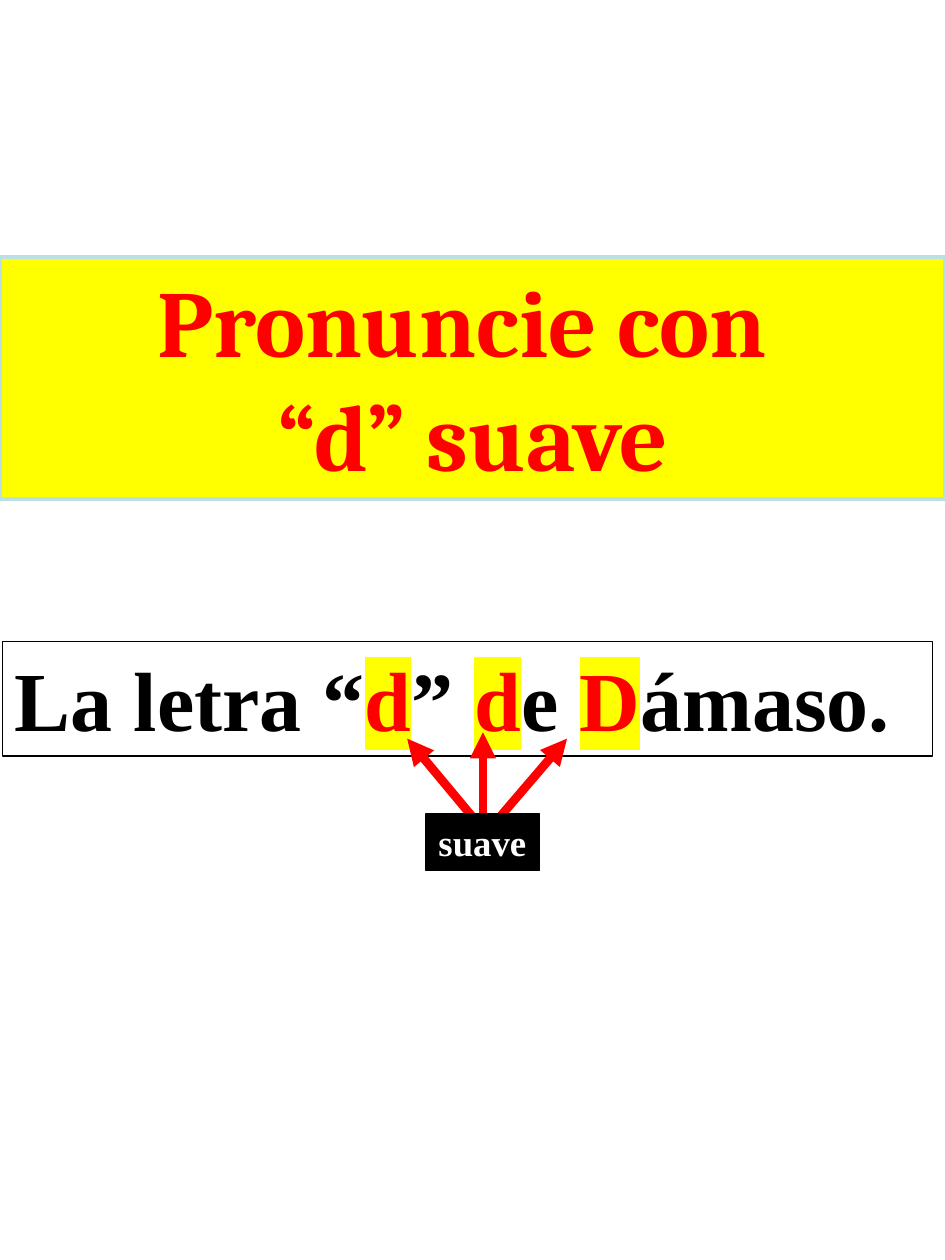
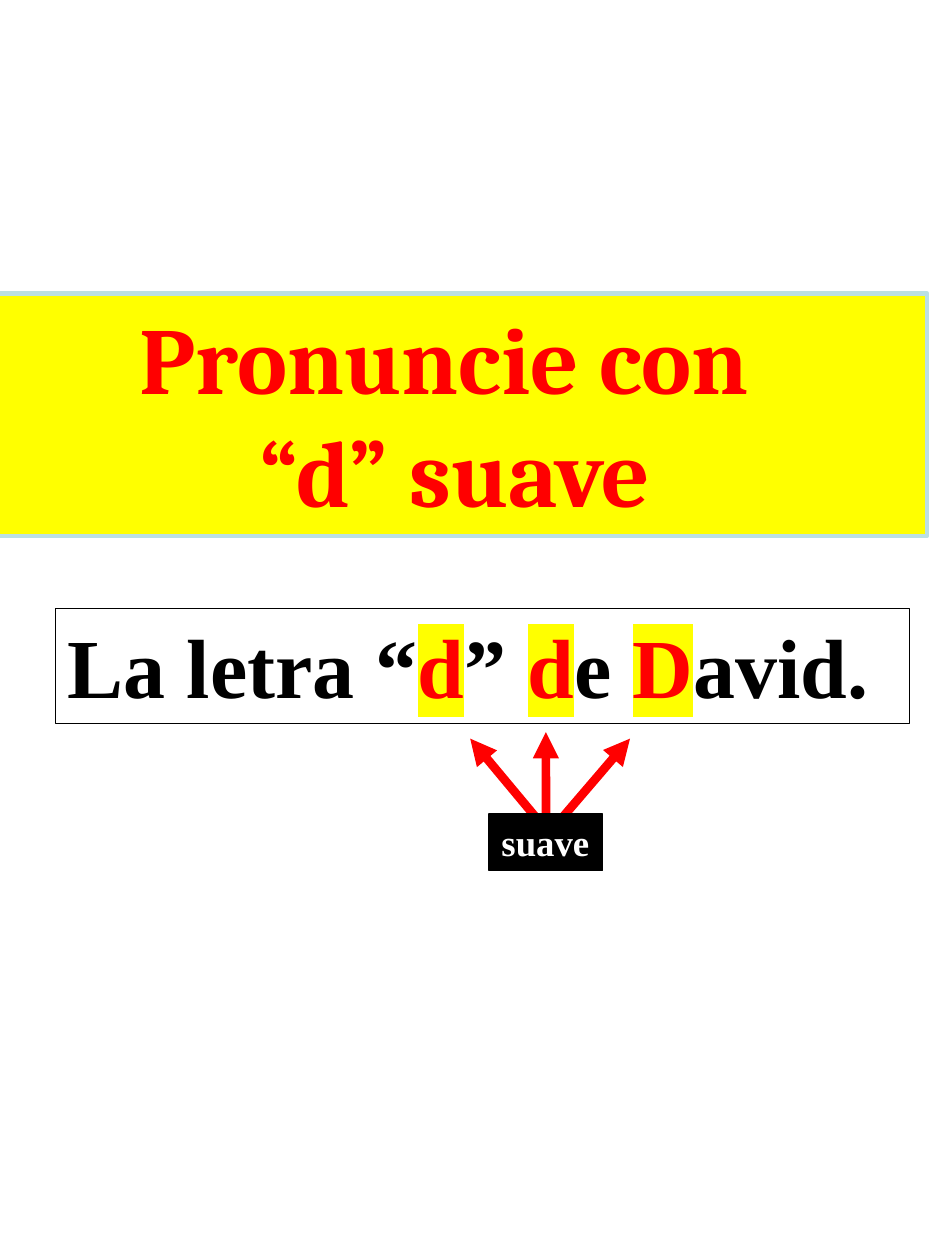
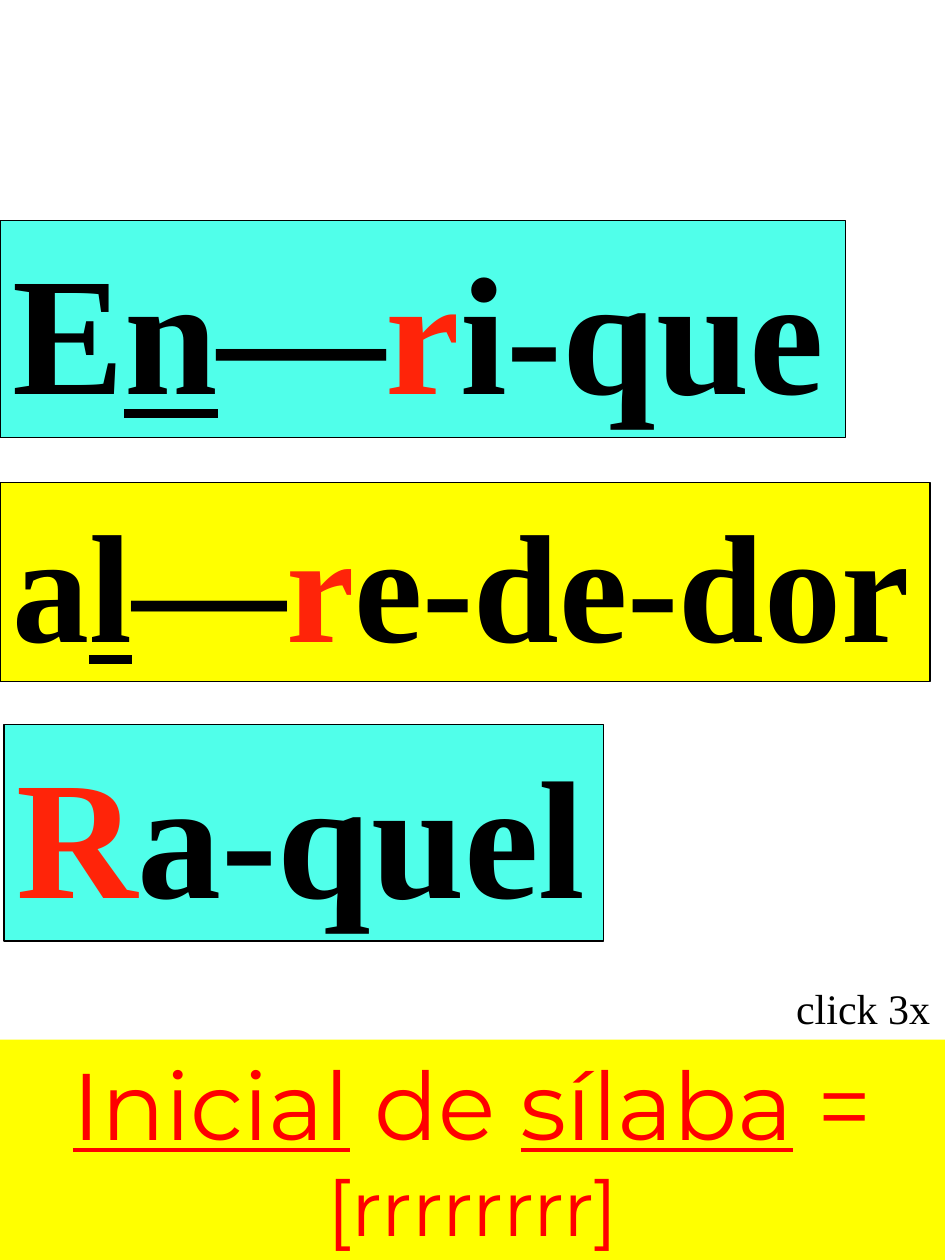
import pptx
import pptx.util
import pptx.dml.color
import pptx.enum.shapes
import pptx.enum.text
import pptx.oxml.ns
from lxml import etree

Cm, Pt = pptx.util.Cm, pptx.util.Pt
ALIGN = pptx.enum.text.PP_ALIGN

COLORS = {
    "red": "FF0000",
    "accent": "FF2409",
    "yellow": "FFFF00",
    "aqua": "50FFEA",
    "frame": "BBE0E3",
    "black": "000000",
    "white": "FFFFFF",
}
SERIF = "Times New Roman"
SLIDE_W, SLIDE_H = 19.05, 25.4

# Run formats that differ from their paragraph
SOFT = dict(color="red", highlight="yellow")
TRILL = dict(color="accent")
UNDER = dict(underline=True)


def rgb(name):
    return pptx.dml.color.RGBColor.from_string(COLORS[name])


def sub(parent, tag, **attrs):
    return etree.SubElement(parent, pptx.oxml.ns.qn(tag), attrs)


def add_run(p, text, size, font=SERIF, color="black", bold=False,
            underline=None, highlight=None):
    """Add one formatted run to a paragraph."""
    r = p.add_run()
    r.text = text
    r.font.size, r.font.name = Pt(size), font
    r.font.bold, r.font.underline = bold, underline
    r.font.color.rgb = rgb(color)
    if highlight:
        rPr = r.font._element
        mark = sub(rPr, "a:highlight")
        sub(mark, "a:srgbClr", val=COLORS[highlight])
        rPr.find(pptx.oxml.ns.qn("a:solidFill")).addnext(mark)


def fill_text(sp, paragraphs, align=ALIGN.LEFT, **fmt):
    """Write paragraphs, each a list of plain strings or (string, format)."""
    tf = sp.text_frame
    tf.word_wrap = True
    tf.auto_size = pptx.enum.text.MSO_AUTO_SIZE.NONE
    tf.vertical_anchor = pptx.enum.text.MSO_ANCHOR.TOP
    for i, runs in enumerate(paragraphs):
        p = tf.add_paragraph() if i else tf.paragraphs[0]
        p.alignment = align
        for run in runs:
            text, extra = (run, {}) if isinstance(run, str) else run
            add_run(p, text, **{**fmt, **extra})


def paint(sp, fill=None, line=None, width=0.75):
    if fill:
        sp.fill.solid()
        sp.fill.fore_color.rgb = rgb(fill)
    if line:
        sp.line.color.rgb = rgb(line)
        sp.line.width = Pt(width)


def add_box(s, box, runs, fill=None, line="black", **fmt):
    """One-line text in a box."""
    sp = s.shapes.add_textbox(*map(Cm, box))
    paint(sp, fill, line)
    fill_text(sp, [runs], **fmt)
    sp.text_frame.margin_right = 0
    return sp


def add_banner(s, box, paragraphs, line=None, **fmt):
    """Yellow title band with red centred text."""
    sp = s.shapes.title
    sp.left, sp.top, sp.width, sp.height = map(Cm, box)
    paint(sp, "yellow", line, 2.5)
    fill_text(sp, paragraphs, align=ALIGN.CENTER, color="red", **fmt)


def add_arrow(s, start, end):
    c = s.shapes.add_connector(pptx.enum.shapes.MSO_CONNECTOR.STRAIGHT,
                               *map(Cm, start + end))
    c.line.color.rgb = rgb("red")
    c.line.width = Pt(5)
    sub(c.line._get_or_add_ln(), "a:tailEnd", type="triangle")
    sub(c._element.spPr, "a:effectLst")
    return c


def add_soft_label(s, x, y, w=2.29, h=1.14):
    """Black label with three arrows fanning up from it."""
    mid = w / 2
    add_arrow(s, (x + 0.97, y + 0.1), (x - 0.38, y - 1.52))
    middle = add_arrow(s, (x + mid, y), (x + mid, y - 1.65))
    add_arrow(s, (x + 1.47, y + 0.08), (x + 2.84, y - 1.52))
    label = add_box(s, (x, y, w, h), ["suave"], fill="black",
                    size=21, color="white", bold=True)
    middle.begin_connect(label, 0)


def new_slide(prs):
    return prs.slides.add_slide(prs.slide_layouts[5])


def soft_d_slide(prs, name_rest, banner_at, phrase_box, label_x):
    s = new_slide(prs)
    add_banner(s, banner_at + (SLIDE_W, 4.88),
               [["Pronuncie con "], ["“d” suave"]],
               line="frame", size=54, font="Cambria", bold=True)
    phrase = ["La letra “", ("d", SOFT), "” ", ("d", SOFT), "e ",
              ("D", SOFT), name_rest]
    add_box(s, phrase_box, phrase, size=48, bold=True)
    add_soft_label(s, label_x, 16.41)


def trilled_r_slide(prs):
    s = new_slide(prs)
    # Words split into syllables
    words = [
        ((0, 4.45, 17.04, 4.37), "aqua", 96,
         ["E", ("n", UNDER), "—", ("r", TRILL), "i-que"]),
        ((0, 9.73, 18.75, 4.01), "yellow", 88,
         ["a", ("l", UNDER), "—", ("r", TRILL), "e-de-dor"]),
        ((0.08, 14.6, 12.09, 4.37), "aqua", 96,
         [("R", TRILL), "a-quel"]),
    ]
    for box, fill, size, runs in words:
        add_box(s, box, runs, fill=fill, size=size, bold=True)
    add_box(s, (15.8, 19.69, 3.25, 1.27), ["click 3x"], line=None, size=24)
    # Rule at the foot
    rule = [("Inicial", UNDER), " de ", ("sílaba", UNDER), " = ",
            ("[rrrrrrrr]", dict(size=44))]
    add_banner(s, (0, 20.96, SLIDE_W, 4.62), [rule],
               size=54, font="Montserrat")


def main():
    prs = pptx.Presentation()
    prs.slide_width, prs.slide_height = Cm(SLIDE_W), Cm(SLIDE_H)
    soft_d_slide(prs, "ámaso.", (0, 5.18), (0.05, 12.93, 18.75, 2.31), 8.59)
    soft_d_slide(prs, "avid.", (-0.36, 5.92), (1.12, 12.27, 17.22, 2.31), 9.86)
    trilled_r_slide(prs)
    prs.save("out.pptx")


if __name__ == "__main__":
    main()
